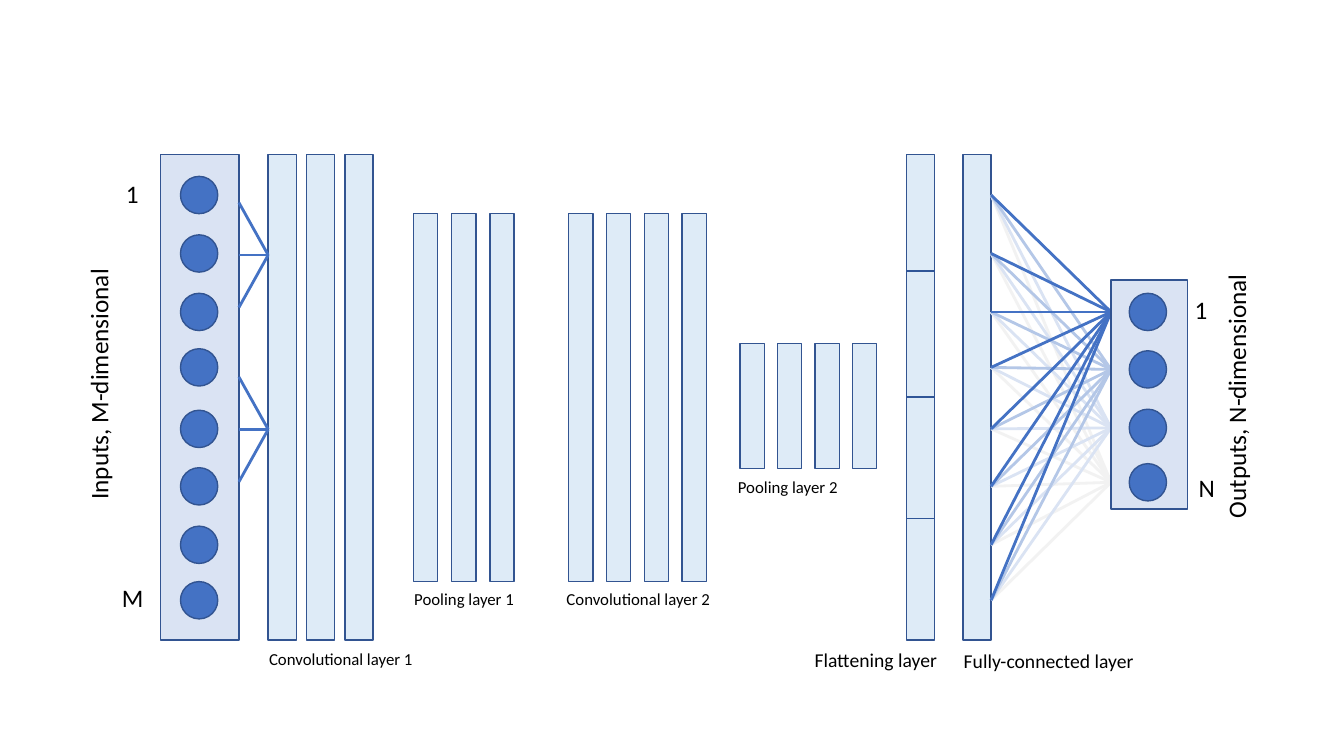
"""Draw a convolutional network from its inputs to its outputs on a 0.1 inch grid."""
import pptx
import pptx.util
import pptx.dml.color
import pptx.enum.shapes
import pptx.enum.text
import pptx.oxml.ns
import lxml.etree

CELL = pptx.util.Inches(0.1)
HUES = {"node": "4472C4", "edge": "325491", "split": "2F5597", "panel": "DAE3F3",
        "bar": "DEEBF7", "text": "000000"}
FANS = ["4472C4", "B4C7E7", "DAE3F3", "F2F2F2"]
SHAPE = pptx.enum.shapes.MSO_SHAPE
DOT = 3.7
INPUTS = [4.05, 9.85, 15.65, 21.15, 27.25, 32.95, 38.75, 44.25]
OUTPUTS = [3.15, 8.85, 14.65, 20.05]

deck = pptx.Presentation()
deck.slide_width = pptx.util.Inches(13.33)
deck.slide_height = pptx.util.Inches(7.5)
slide = deck.slides.add_slide(deck.slide_layouts[6])


def grid(*cells):
    """Turn grid cells into slide lengths."""
    return [round(cell * CELL) for cell in cells]


def rgb(hue):
    """Return the colour of a hex string."""
    return pptx.dml.color.RGBColor.from_string(hue)


def block(kind, box, fill):
    """Add a filled and outlined shape."""
    shape = slide.shapes.add_shape(kind, *grid(*box))
    shape.shadow.inherit = False
    shape.fill.solid()
    shape.fill.fore_color.rgb = rgb(fill)
    shape.line.color.rgb = rgb(HUES["edge"])
    shape.line.width = pptx.util.Pt(1)


def link(start, end, hue, width=2):
    """Add a straight line between two grid points."""
    line = slide.shapes.add_connector(
        pptx.enum.shapes.MSO_CONNECTOR.STRAIGHT, *grid(*start, *end))
    line.line.color.rgb = rgb(hue)
    line.line.width = pptx.util.Pt(width)
    lxml.etree.SubElement(line._element.spPr, pptx.oxml.ns.qn("a:effectLst"))


def label(text, box, size, turn=0, wrap=False):
    """Add a line of text."""
    note = slide.shapes.add_textbox(*grid(*box))
    note.rotation = turn
    frame = note.text_frame
    frame.word_wrap = wrap
    frame.auto_size = pptx.enum.text.MSO_AUTO_SIZE.SHAPE_TO_FIT_TEXT
    para = frame.paragraphs[0]
    para.text = text
    para.font.name = "Calibri"
    para.font.size = pptx.util.Pt(size)
    para.font.color.rgb = rgb(HUES["text"])


def panel(box, nodes, inset):
    """Draw a column of nodes on a tinted panel."""
    left, top, wide, high = box
    block(SHAPE.RECTANGLE, box, HUES["panel"])
    for node in nodes:
        dot = (left + inset, top + node - DOT / 2, DOT, DOT)
        block(SHAPE.OVAL, dot, HUES["node"])


def layer(box, count, pitch, name, spot, size=12):
    """Draw equal bars from the first bar's box and name the layer."""
    left, top, wide, high = box
    for step in range(count):
        block(SHAPE.RECTANGLE, (left + step * pitch, top, wide, high), HUES["bar"])
    label(name, spot, size, wrap=True)


def kernels(box, mids, reach):
    """Join three input points to each filter point across the gap."""
    left, top, wide, high = box
    for mid in mids:
        for shift in (-reach, 0, reach):
            link((left, top + mid + shift), (left + wide, top + mid), HUES["node"])


def splits(box, shares):
    """Cut a bar into parts at shares of its height."""
    left, top, wide, high = box
    for share in shares:
        y = top + share * high
        link((left, y), (left + wide, y), HUES["split"], 1)


def fans(full, out):
    """Join every point of the full layer to every output, faintest first."""
    start, end = full[0] + full[2], out[0]
    for node, hue in reversed(list(zip(OUTPUTS, FANS))):
        for point in INPUTS:
            link((start, full[1] + point), (end, out[1] + node), hue)


source = (15.9, 15.3, 7.8, 48.2)
first = (26.6, 15.3, 2.8, 48.2)
flat = (89.9, 15.3, 2.8, 48.2)
full = (95.5, 15.3, 2.8, 48.2)
out = (110.2, 27.8, 7.6, 22.7)

panel(source, INPUTS, 2)
label("Inputs, M-dimensional", (-2.8, 36, 25.1, 4), 18, 270)
label("1", (11.5, 17.2, 3.3, 4), 18)
label("M", (11.1, 57.3, 4.2, 4), 18)

layer(first, 3, 3.8, "Convolutional layer 1", (25.7, 63.9, 18.1, 3))
kernels((23.7, 15.3, 2.9, 48.2), (10, 27.3), 5.2)
layer((41, 21.2, 2.4, 36.5), 3, 3.8, "Pooling layer 1", (40.1, 57.9, 15.1, 3))
layer((56.4, 21.2, 2.4, 36.5), 4, 3.75, "Convolutional layer 2", (55.2, 57.9, 16.9, 3))
layer((73.4, 34.1, 2.4, 12.4), 4, 3.72, "Pooling layer 2", (72.2, 46.8, 15.1, 3))

layer(flat, 1, 0, "Flattening layer", (79.8, 63.8, 21.1, 3.4), 14)
splits(flat, (0.24, 0.5, 0.75))
layer(full, 1, 0, "Fully-connected layer", (94.6, 63.9, 21.1, 3.4), 14)

fans(full, out)
panel(out, OUTPUTS, 1.8)
label("Outputs, N-dimensional", (109.1, 36.9, 27, 4), 18, 270)
label("1", (117.5, 28.7, 3.3, 4), 18)
label("N", (117.9, 46.4, 3.6, 4), 18)

deck.save("out.pptx")
